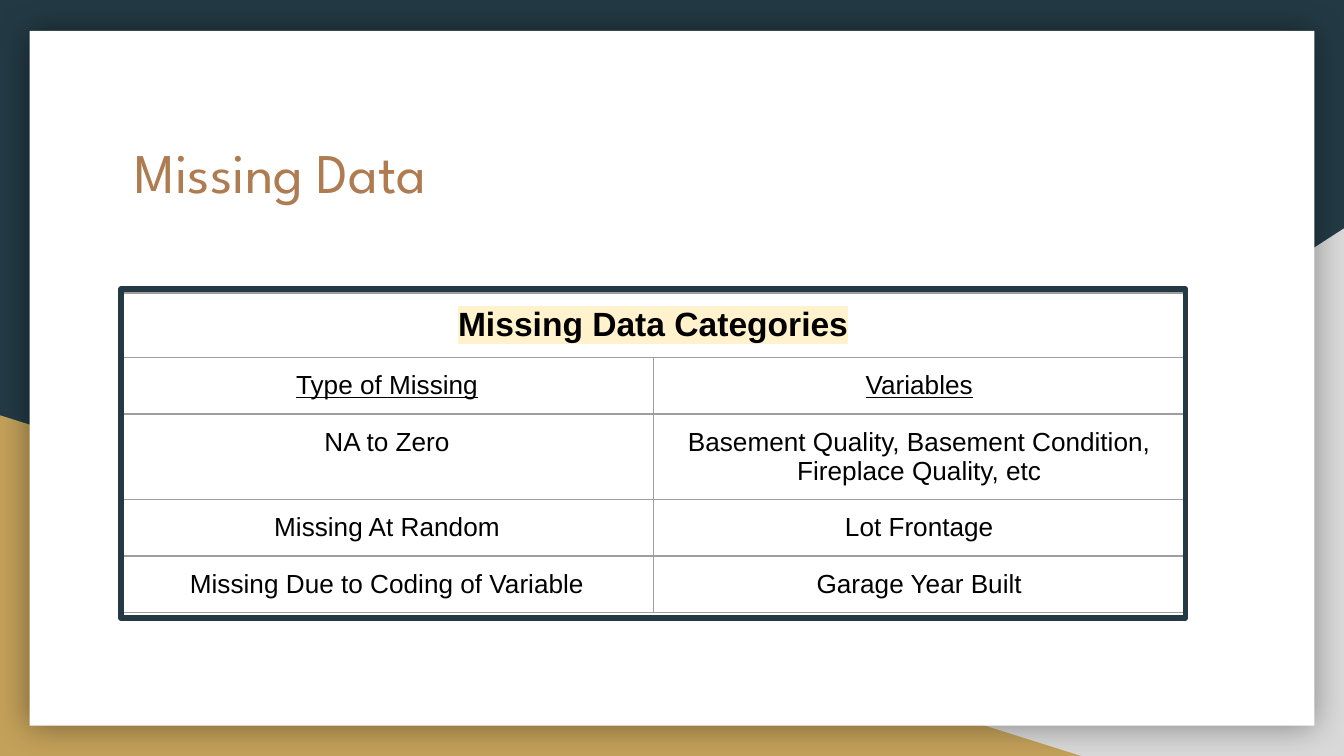
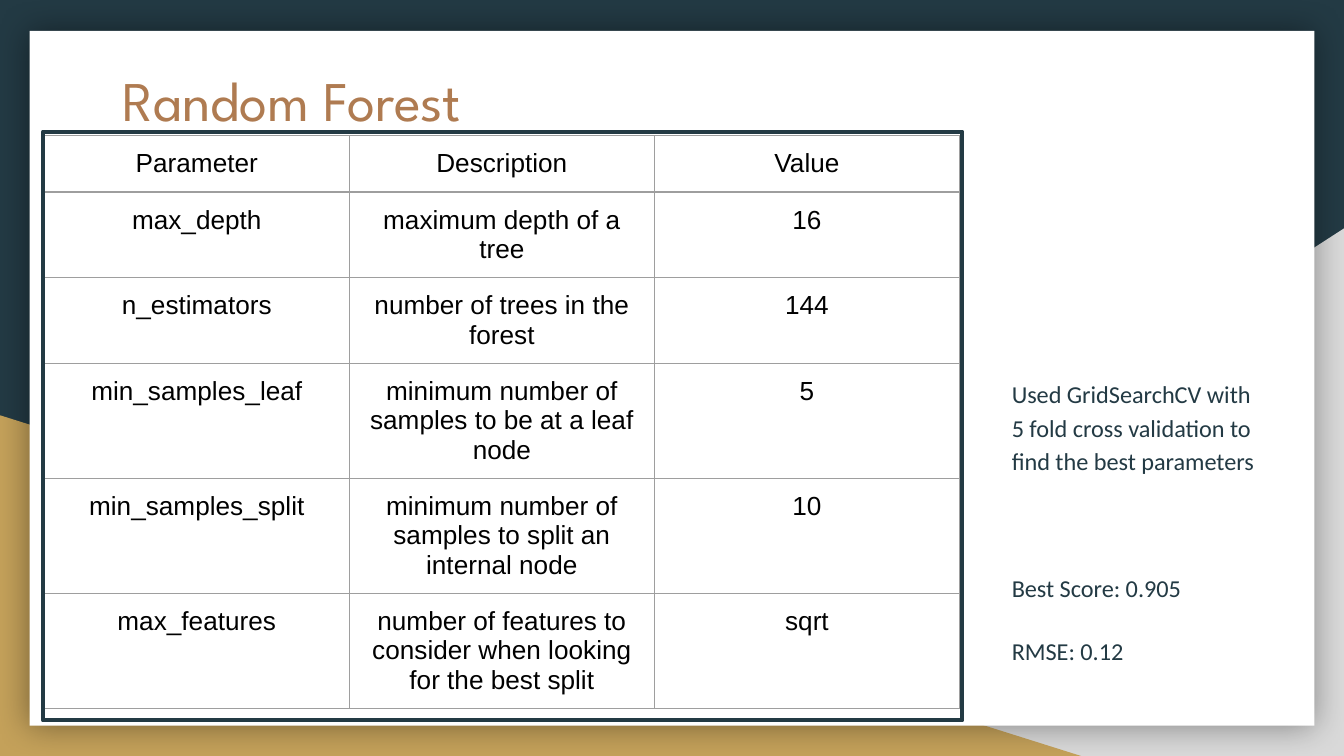
from lxml.etree import SubElement
from pptx import Presentation
from pptx.dml.color import RGBColor
from pptx.enum.shapes import MSO_SHAPE
from pptx.enum.text import MSO_ANCHOR, MSO_AUTO_SIZE, PP_ALIGN
from pptx.oxml.ns import qn
from pptx.util import Inches, Pt

NAVY, GOLD, GREY, WHITE = "233A44", "C4A15A", "D9D9D9", "FFFFFF"
COPPER, BLACK, RULE, CREAM = "AF7B51", "000000", "9E9E9E", "FFF2CC"


def rgb(value):
    return RGBColor.from_string(value)


def style(p, size, font, color, align=PP_ALIGN.LEFT):
    p.alignment = align
    for r in p.runs:
        r.font.size = Pt(size)
        r.font.name = font
        r.font.color.rgb = rgb(color)


slides = [
    dict(title="Missing Data", title_at=(0.9, 0.92),
         table_at=(0.9, 2.18), col_width=3.96, row_heights=[0.42] * 5,
         rows=[["Missing Data Categories", ""],
               ["Type of Missing", "Variables"],
               ["NA to Zero", "Basement Quality, Basement Condition, Fireplace Quality, etc"],
               ["Missing At Random", "Lot Frontage"],
               ["Missing Due to Coding of Variable", "Garage Year Built"]],
         frame=(0.9, 2.15, 7.92, 2.45), frame_width=3),
    dict(title="Random Forest", title_at=(0.81, 0.39),
         table_at=(0.33, 1.01), col_width=2.27,
         row_heights=[0.38, 0.59, 0.59, 0.79, 0.79, 0.79],
         rows=[["Parameter", "Description", "Value"],
               ["max_depth", "maximum depth of a tree", "16"],
               ["n_estimators", "number of trees in the forest", "144"],
               ["min_samples_leaf", "minimum number of samples to be at a leaf node", "5"],
               ["min_samples_split", "minimum number of samples to split an internal node", "10"],
               ["max_features", "number of features to consider when looking for the best split",
                "sqrt"]],
         frame=(0.32, 0.98, 6.84, 4.38), frame_width=2.25),
]

# 16:9 page
prs = Presentation()
prs.slide_width = Inches(10)
prs.slide_height = Inches(10) * 9 // 16
layout = prs.slide_layouts[5]
for ph in list(layout.placeholders):
    if ph.placeholder_format.idx >= 10:
        ph.element.getparent().remove(ph.element)
layout.background.fill.solid()
layout.background.fill.fore_color.rgb = rgb(NAVY)

tables = []
for data in slides:
    s = prs.slides.add_slide(layout)

    # Title
    title = s.shapes.title
    title.left, title.top = [Inches(v) for v in data["title_at"]]
    title.width, title.height = Inches(8.21), Inches(1.04)
    tf = title.text_frame
    tf.text = data["title"]
    tf.auto_size = MSO_AUTO_SIZE.NONE
    tf.vertical_anchor = MSO_ANCHOR.TOP
    tf.margin_left = tf.margin_right = tf.margin_top = tf.margin_bottom = Inches(0.1)
    style(tf.paragraphs[0], 30, "League Spartan", COPPER)

    # Table
    rows, heights = data["rows"], data["row_heights"]
    n_cols = len(rows[0])
    x, y = data["table_at"]
    table = s.shapes.add_table(len(rows), n_cols, Inches(x), Inches(y),
                               Inches(data["col_width"] * n_cols), Inches(sum(heights))).table
    table.first_row = table.horz_banding = False
    for col in table.columns:
        col.width = Inches(data["col_width"])
    for i, row in enumerate(rows):
        table.rows[i].height = Inches(heights[i])
        for j, text in enumerate(row):
            cell = table.cell(i, j)
            cell.text = text
            cell.margin_left = cell.margin_right = Inches(0.1)
            cell.margin_top = cell.margin_bottom = Inches(0.1)
            style(cell.text_frame.paragraphs[0], 14, "Arial", BLACK, PP_ALIGN.CENTER)
            tcPr = cell._tc.get_or_add_tcPr()
            for side in ("a:lnL", "a:lnR", "a:lnT", "a:lnB"):
                ln = SubElement(tcPr, qn(side), w=str(Pt(0.75)))
                fill = SubElement(ln, qn("a:solidFill"))
                SubElement(fill, qn("a:srgbClr"), val=RULE)
            cell.fill.background()
    tables.append(table)

    # Frame around the table
    sp = s.shapes.add_shape(MSO_SHAPE.RECTANGLE, *[Inches(v) for v in data["frame"]])
    sp.shadow.inherit = False
    sp.fill.background()
    sp.line.color.rgb = rgb(NAVY)
    sp.line.width = Pt(data["frame_width"])

# Headings of the missing data table
table = tables[0]
table.cell(0, 0).merge(table.cell(0, 1))
r = table.cell(0, 0).text_frame.paragraphs[0].runs[0]
r.font.size, r.font.bold = Pt(18), True
rPr = r.font._element
highlight = SubElement(rPr, qn("a:highlight"))
SubElement(highlight, qn("a:srgbClr"), val=CREAM)
rPr.find(qn("a:solidFill")).addnext(highlight)
for j in range(2):
    table.cell(1, j).text_frame.paragraphs[0].runs[0].font.underline = True

# Random forest results
box = prs.slides[1].shapes.add_textbox(Inches(7.43), Inches(2.69), Inches(2.1), Inches(2.03))
tf = box.text_frame
tf.word_wrap = True
tf.margin_left = tf.margin_right = tf.margin_top = tf.margin_bottom = Inches(0.1)
tf.text = ("Used GridSearchCV with 5 fold cross validation to find the best parameters\n"
           "Best Score: 0.905\nRMSE: 0.12")
for p, space in zip(tf.paragraphs, (0, 50, 16)):
    p.line_spacing = 1.15
    p.space_before = Pt(space)
    style(p, 13, "Calibri", NAVY)

# Shared backdrop, moved behind the title of the layout
backdrop = [
    (MSO_SHAPE.RIGHT_TRIANGLE, (3.92, 1.7, 6.08, 3.93), GREY),
    (MSO_SHAPE.RIGHT_TRIANGLE, (0, 3.09, 8.06, 2.54), GOLD),
    (MSO_SHAPE.RECTANGLE, (0.22, 0.23, 9.56, 5.17), WHITE),
]
for i, (kind, at, color) in enumerate(backdrop):
    sp = prs.slides[0].shapes.add_shape(kind, *[Inches(v) for v in at])
    sp.shadow.inherit = False
    sp.fill.solid()
    sp.fill.fore_color.rgb = rgb(color)
    sp.line.fill.background()
    spPr = sp.element.spPr
    if color == GREY:
        spPr.find(qn("a:xfrm")).set("flipH", "1")
    if color == WHITE:
        shadow = SubElement(spPr.find(qn("a:effectLst")), qn("a:outerShdw"),
                            blurRad=str(Pt(18)), dist="0", dir="0", algn="ctr", rotWithShape="0")
        clr = SubElement(shadow, qn("a:srgbClr"), val=BLACK)
        SubElement(clr, qn("a:alpha"), val="40000")
    sp.element.nvSpPr.cNvPr.set("id", str(20 + i))
    layout.shapes.element.insert(2 + i, sp.element)

prs.save("out.pptx")
